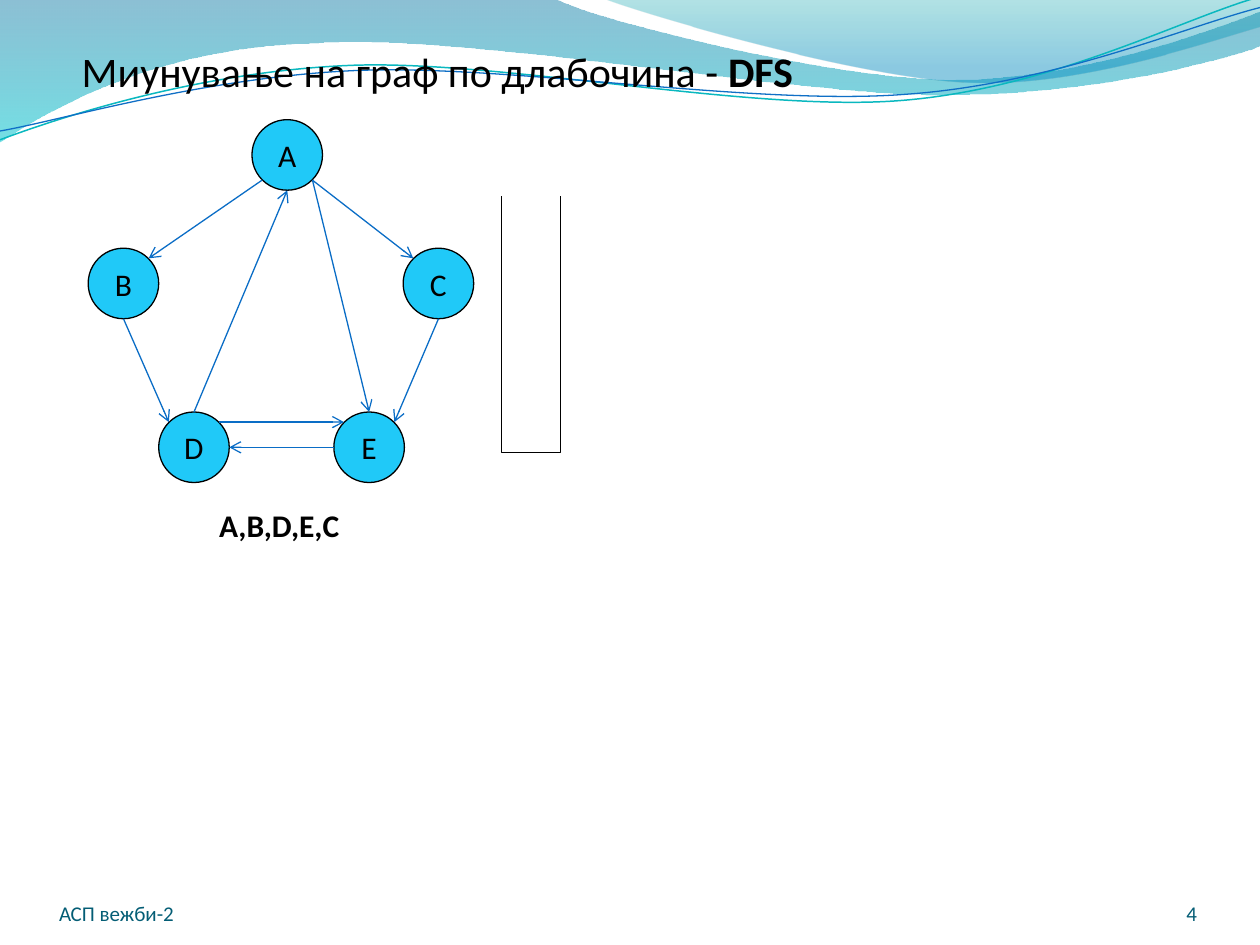
import math

from lxml import etree
from pptx import Presentation
from pptx import util as u
from pptx.dml.color import RGBColor
from pptx.enum import shapes, text
from pptx.oxml.ns import qn

PX = u.Inches(1) // 100
THEME = {
    "font": "Calibri", "title": 24, "body": 18, "footer": 12,
    "ink": "000000", "paper": "FFFFFF", "footer_ink": "045D75",
    "node": "20C9F8", "edge": "0A6DC6",
}


def write(frame, runs, size, color, align=text.PP_ALIGN.LEFT, **frame_format):
    for name, value in frame_format.items():
        setattr(frame, name, value)
    paragraph = frame.paragraphs[0]
    paragraph.alignment = align
    for words, bold in runs:
        run = paragraph.add_run()
        run.text = words
        font_format = {"name": THEME["font"], "size": u.Pt(THEME[size]), "bold": bold}
        for name, value in font_format.items():
            setattr(run.font, name, value)
        run.font.color.rgb = RGBColor.from_string(THEME[color])


def draw_path(start, segments, closed):
    anchors = [segment[-2:] for segment in segments]
    builder = slide.shapes.build_freeform(*start, scale=PX)
    builder.add_line_segments(anchors, close=closed)
    shape = builder.convert_to_shape()
    shape.shadow.inherit = False
    left, top = (min(values) for values in zip(start, *anchors))
    for line, segment in zip(list(shape.element.iter(qn("a:lnTo"))), segments):
        if len(segment) == 6:
            curve = etree.Element(qn("a:cubicBezTo"))
            for x, y in zip(segment[::2], segment[1::2]):
                etree.SubElement(curve, qn("a:pt"), x=str(x - left), y=str(y - top))
            line.getparent().replace(line, curve)
    return shape


presentation = Presentation()
presentation.slide_width, presentation.slide_height = 1000 * PX, 750 * PX
slide = presentation.slides.add_slide(presentation.slide_layouts[6])
slide.background.fill.solid()
slide.background.fill.fore_color.rgb = RGBColor.from_string(THEME["paper"])

waves = [
    ((0, 0),
     [(440, -1), (476, 17, 664, 63, 758, 63), (853, 63, 958, 26, 1000, 9), (1001, 36),
      (983, 44, 870, 76, 746, 75), (622, 75, 382, 28, 257, 34), (129, 36, 46, 83, -1, 113)],
     [(0, "0074A1", 45), (1, "00C6CF", 55)]),
    ((479, -1),
     [(509, 11, 682, 62, 769, 65), (856, 69, 961, 32, 1000, 21), (1000, 0)],
     [(0, "00A1A9", 30), (0.8, "008BBF", 45)]),
]
for start, segments, stops in waves:
    wave = draw_path(start, segments, True)
    wave.line.fill.background()
    wave.fill.gradient()
    wave.fill.gradient_angle = 270
    for stop, (position, color, opacity) in zip(wave.fill.gradient_stops, stops):
        stop.position = position
        stop.color.rgb = RGBColor.from_string(color)
    for element, (position, color, opacity) in zip(wave.element.iter(qn("a:srgbClr")), stops):
        etree.SubElement(element, qn("a:alpha"), val=str(opacity * 1000))

strands = [
    ((0, 111), [(48, 93, 158, 57, 277, 52), (395, 47, 593, 89, 713, 80),
                (833, 71, 938, 15, 998, -2)], "0AB8BF", 0.85),
    ((0, 104), [(47, 96, 164, 61, 283, 56), (403, 51, 597, 84, 717, 75),
                (836, 67, 941, 21, 1000, 6)], "0F6FC6", 0.75),
]
for start, segments, color, width in strands:
    strand = draw_path(start, segments, False)
    strand.fill.background()
    strand.line.color.rgb = RGBColor.from_string(color)
    strand.line.width = u.Pt(width)

footers = [("АСП вежби-2", 47, 367, text.PP_ALIGN.LEFT), ("4", 867, 83, text.PP_ALIGN.RIGHT)]
for words, left, width, align in footers:
    footer = slide.shapes.add_textbox(left * PX, 695 * PX, width * PX, 40 * PX)
    write(footer.text_frame, [(words, False)], "footer", "footer_ink", align,
          word_wrap=True, vertical_anchor=text.MSO_ANCHOR.BOTTOM,
          margin_left=0, margin_right=0, margin_top=0, margin_bottom=0)

RADIUS = 28
nodes = {"A": (228, 123), "C": (348, 225), "B": (98, 225), "D": (154, 355), "E": (293, 355)}
for name, (x, y) in nodes.items():
    node = slide.shapes.add_shape(shapes.MSO_SHAPE.OVAL, (x - RADIUS) * PX, (y - RADIUS) * PX,
                                  2 * RADIUS * PX, 2 * RADIUS * PX)
    node.shadow.inherit = False
    node.fill.solid()
    node.fill.fore_color.rgb = RGBColor.from_string(THEME["node"])
    node.line.color.rgb = RGBColor.from_string(THEME["ink"])
    node.line.width = u.Pt(0.75)
    write(node.text_frame, [(name, False)], "body", "ink", text.PP_ALIGN.CENTER,
          vertical_anchor=text.MSO_ANCHOR.MIDDLE)

compass = ["E", "SE", "S", "SW", "W", "NW", "N", "NE"]
edges = [("A", "SW", "B", "NE"), ("A", "SE", "C", "NW"), ("B", "S", "D", "NW"),
         ("D", "N", "A", "S"), ("C", "S", "E", "NE"), ("D", "NE", "E", "NW"),
         ("E", "W", "D", "E"), ("A", "SE", "E", "N")]
for source, leaving, target, arriving in edges:
    ends = []
    for name, side in ((source, leaving), (target, arriving)):
        angle = compass.index(side) * math.pi / 4
        x, y = nodes[name]
        ends += [round(x + RADIUS * math.cos(angle)) * PX, round(y + RADIUS * math.sin(angle)) * PX]
    edge = slide.shapes.add_connector(shapes.MSO_CONNECTOR.STRAIGHT, *ends)
    edge.line.color.rgb = RGBColor.from_string(THEME["edge"])
    edge.line.width = u.Pt(0.75)
    etree.SubElement(edge.element.spPr.find(qn("a:ln")), qn("a:tailEnd"), type="arrow")
    etree.SubElement(edge.element.spPr, qn("a:effectLst"))

labels = [
    ([("A,B,D,E,C", True)], "body", (164, 397, 117, 40)),
    ([("Миунување на граф по длабочина - ", False), ("DFS", True)], "title", (55, 31, 589, 50)),
]
for runs, size, box in labels:
    label = slide.shapes.add_textbox(*(length * PX for length in box))
    write(label.text_frame, runs, size, "ink", word_wrap=False,
          auto_size=text.MSO_AUTO_SIZE.SHAPE_TO_FIT_TEXT)

stack = draw_path((398, 156), [(398, 359), (445, 359), (445, 156)], False)
stack.fill.solid()
stack.fill.fore_color.rgb = RGBColor.from_string(THEME["paper"])
stack.line.color.rgb = RGBColor.from_string(THEME["ink"])
stack.line.width = u.Pt(0.25)

presentation.save("out.pptx")
